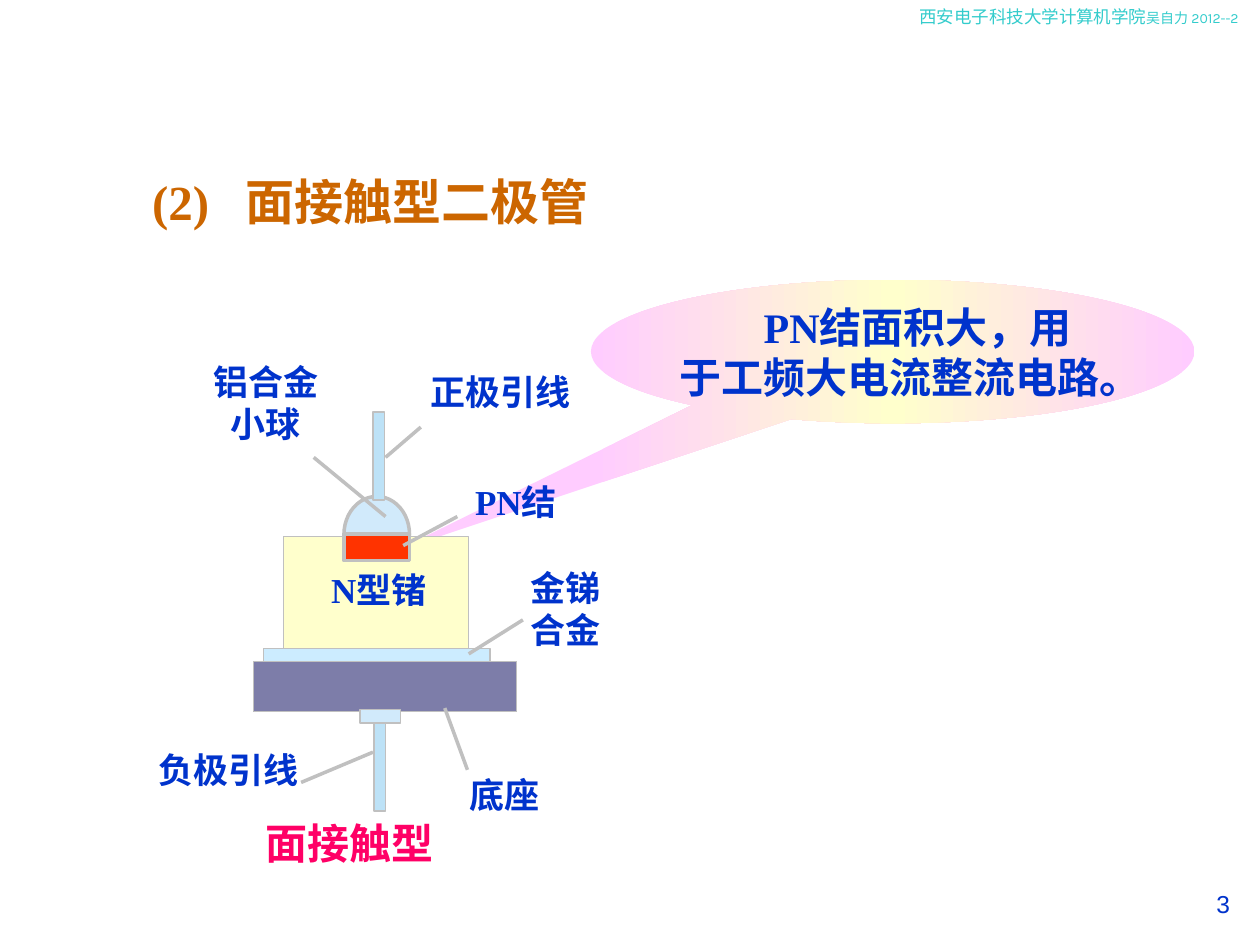
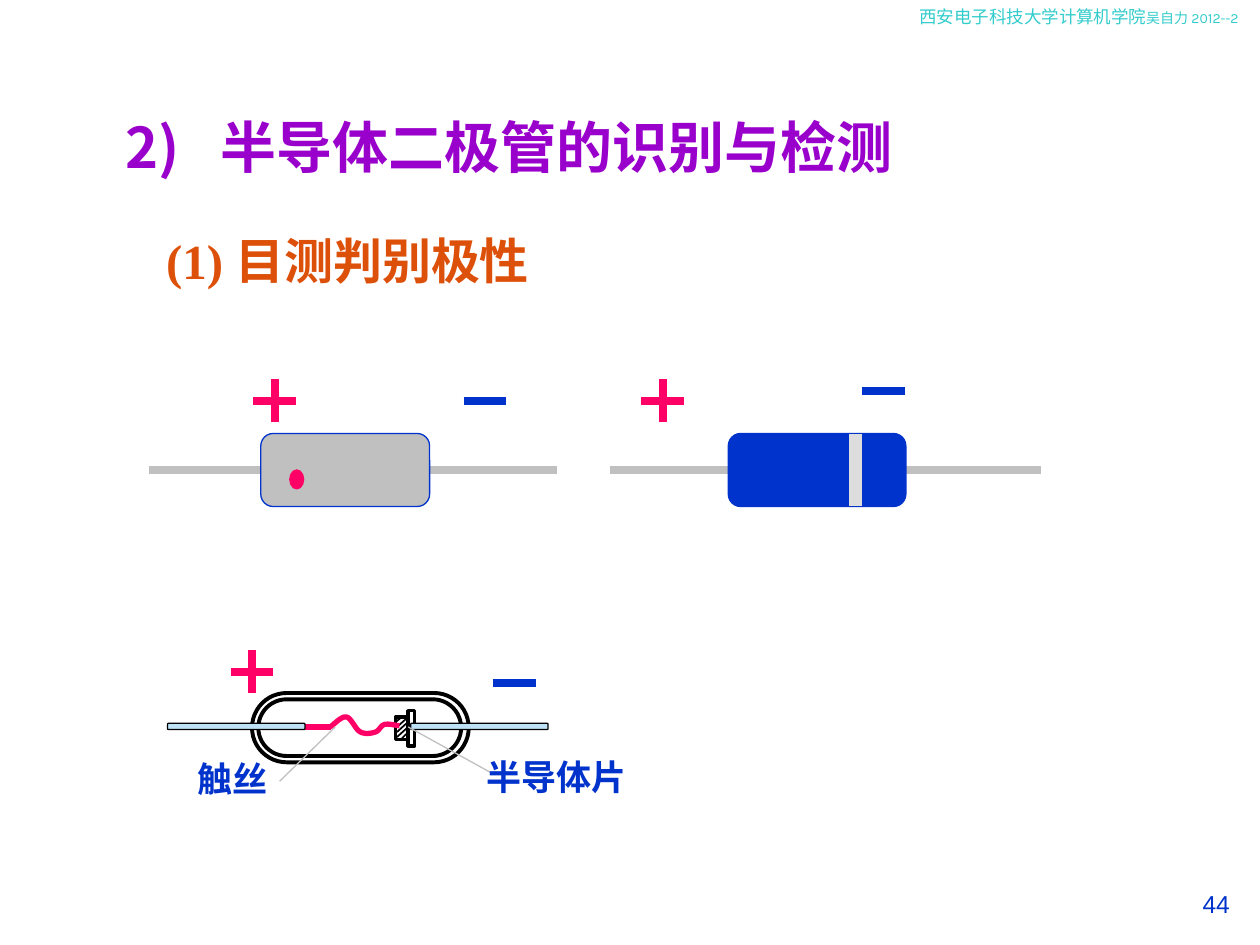
from copy import deepcopy

from lxml import etree
from pptx import Presentation
from pptx.dml.color import RGBColor
from pptx.enum.shapes import MSO_CONNECTOR, MSO_SHAPE
from pptx.enum.text import MSO_ANCHOR, PP_ALIGN
from pptx.oxml.ns import qn
from pptx.util import Inches, Pt

RECT, OVAL, ROUND = MSO_SHAPE.RECTANGLE, MSO_SHAPE.OVAL, MSO_SHAPE.ROUNDED_RECTANGLE
CALLOUT = MSO_SHAPE.OVAL_CALLOUT
STRAIGHT = MSO_CONNECTOR.STRAIGHT
LEFT, CENTER, RIGHT = PP_ALIGN.LEFT, PP_ALIGN.CENTER, PP_ALIGN.RIGHT
TOP, MIDDLE = MSO_ANCHOR.TOP, MSO_ANCHOR.MIDDLE

COLORS = {
    "header": "33CCCC", "blue": "0033CC", "pink": "FF0066", "purple": "9900CC",
    "brown": "CC6600", "orange": "DD5009", "gray": "C0C0C0", "black": "000000",
    "ball": "D1EAFB", "germanium": "FFFFCC", "junction": "FF3300",
    "alloy": "CCECFF", "base": "7D7DA9", "lead": "BDE2F7", "band": "DDDDDD",
    "callout_edge": "FFCCFF", "callout_middle": "FFFFCC",
}
SERIF, CHINESE = "Times New Roman", "Noto Sans CJK SC"

STYLES = {
    "header": {"size": 10, "name": "Karla", "color": "header", "bold": False},
    "author": {"size": 8, "name": "Karla", "color": "header", "bold": False},
    "number": {"size": 14, "name": "Arial", "color": "blue", "bold": False},
    "title": {"size": 32, "name": CHINESE, "color": "purple", "bold": True},
    "area_heading": {"size": 28, "name": SERIF, "color": "brown", "bold": True},
    "polarity_heading": {"size": 28, "name": SERIF, "color": "orange", "bold": True},
    "callout": {"size": 24, "name": SERIF, "color": "blue", "bold": True},
    "caption": {"size": 24, "name": SERIF, "color": "pink", "bold": True},
    "label": {"size": 20, "name": SERIF, "color": "blue", "bold": True},
}

HEADER = [("西安电子科技大学计算机学院", "header"), ("吴自力 2012--2", "author")]

# Area-contact diode: (shape, (left, top, width, height), fill, line, line width)
DIODE_PARTS = [
    (OVAL, (2.73, 3.94, 0.52, 0.6), "ball", "gray", 2),
    (RECT, (2.25, 4.26, 1.47, 0.93), "germanium", "gray", 0.75),
    (RECT, (2.73, 4.24, 0.52, 0.21), "junction", "gray", 2),
    (RECT, (2.09, 5.15, 1.8, 0.14), "alloy", "gray", 0.75),
    (RECT, (2.01, 5.25, 2.09, 0.4), "base", "gray", 0.75),
    (RECT, (2.96, 3.27, 0.09, 0.7), "lead", "gray", 0.75),
    (RECT, (2.97, 5.74, 0.09, 0.7), "lead", "gray", 1),
    (RECT, (2.86, 5.63, 0.32, 0.11), "ball", "gray", 1),
]
# (lines, place, alignment, anchor, wrap)
DIODE_LABELS = [
    (["负极引线"], (1.12, 5.86, 1.39, 0.5), CENTER, MIDDLE, False),
    (["N型锗"], (2.53, 4.46, 1.46, 0.44), LEFT, TOP, True),
    (["PN结"], (3.64, 3.76, 0.91, 0.44), CENTER, MIDDLE, False),
    (["正极引线"], (3.28, 2.89, 1.38, 0.44), CENTER, MIDDLE, False),
    (["铝合金", "小球"], (1.35, 2.81, 1.52, 0.77), CENTER, TOP, True),
    (["底座"], (3.63, 6.09, 1.54, 0.44), LEFT, TOP, True),
    (["金锑", "合金"], (4.11, 4.45, 2.23, 0.77), LEFT, TOP, True),
]
DIODE_POINTERS = [
    (3.2, 4.33, 3.63, 4.1), (3.06, 3.63, 3.34, 3.39), (2.39, 6.21, 2.96, 5.97),
    (2.49, 3.63, 3.06, 4.1), (3.53, 5.62, 3.71, 6.11), (3.72, 5.19, 4.15, 4.92),
]
CALLOUT_STOPS = [(0, "callout_edge"), (0.5, "callout_middle"), (1, "callout_edge")]

# Packaged diodes: axis ends, then parts as above
PACKAGES = [
    ((1.18, 4.42), [
        (ROUND, (2.07, 3.44, 1.34, 0.58), "gray", "blue", 0.75),
        (OVAL, (2.3, 3.73, 0.11, 0.15), "pink", "pink", 0.75)]),
    ((4.84, 8.26), [
        (ROUND, (5.78, 3.44, 1.41, 0.58), "blue", "blue", 0.75),
        (RECT, (6.73, 3.44, 0.12, 0.58), "band", "blue", 0.75)]),
]
PACKAGE_AXIS = 3.73

GLASS_PARTS = [
    (ROUND, (2.05, 5.55, 1.61, 0.45), None, "black", 2.25),
    (ROUND, (2, 5.5, 1.72, 0.55), None, "black", 2.25),
    (RECT, (3.24, 5.64, 0.05, 0.28), None, "black", 2),
    (RECT, (3.14, 5.69, 0.1, 0.18), None, "black", 2),
]
CHIP_HATCHING = [
    (3.14, 5.73, 3.19, 5.69), (3.14, 5.78, 3.24, 5.69), (3.15, 5.81, 3.25, 5.72),
    (3.15, 5.85, 3.25, 5.76), (3.19, 5.86, 3.24, 5.81),
]
WIRE_START = (2.62, 5.77)
WIRE_CURVES = [
    ((2.64, 5.76), (2.71, 5.68), (2.75, 5.69)),
    ((2.79, 5.7), (2.82, 5.79), (2.86, 5.81)),
    ((2.9, 5.83), (2.95, 5.82), (2.98, 5.81)),
    ((3.01, 5.8), (3.02, 5.76), (3.05, 5.75)),
    ((3.08, 5.74), (3.15, 5.76), (3.17, 5.76)),
]
GLASS_LEADS = [(1.33, 5.74, 1.09, 0.05), (3.26, 5.74, 1.09, 0.05)]
GLASS_LABELS = [
    (["触丝"], (1.33, 5.96, 1.03, 0.44), CENTER, MIDDLE, True),
    (["半导体片"], (3.76, 5.95, 1.32, 0.44), LEFT, TOP, True),
]
GLASS_POINTERS = [(2.66, 5.77, 2.22, 6.2), (3.24, 5.77, 3.91, 6.14)]

PLUS_CENTERS = [(2.18, 3.18), (5.26, 3.18), (2, 5.33)]
MINUS_CENTERS = [(3.85, 3.18), (7.01, 3.1), (4.08, 5.42)]
MARK_REACH = 0.17


def rgb(name):
    return RGBColor.from_string(COLORS[name])


def inches(values):
    return [Inches(value) for value in values]


def write_spans(para, spans):
    for text, style in spans:
        span = para.add_run()
        span.text = text
        for key, value in STYLES[style].items():
            if key == "color":
                span.font.color.rgb = rgb(value)
            else:
                setattr(span.font, key, Pt(value) if key == "size" else value)
        etree.SubElement(span.font._element, qn("a:ea"), typeface=CHINESE)


def write_text(frame, lines, align=LEFT, anchor=TOP, wrap=True, inset=(0.1, 0.05)):
    """Fill a text frame; each line is a list of (text, style) spans."""
    across, down = inches(inset)
    settings = {"word_wrap": wrap, "vertical_anchor": anchor,
                "margin_left": across, "margin_right": across,
                "margin_top": down, "margin_bottom": down}
    for key, value in settings.items():
        setattr(frame, key, value)
    for index, spans in enumerate(lines):
        para = frame.add_paragraph() if index else frame.paragraphs[0]
        para.alignment = align
        write_spans(para, spans)


def add_text(page, place, lines, **options):
    box = page.shapes.add_textbox(*inches(place))
    write_text(box.text_frame, lines, **options)
    return box


def add_heading(page, place, text, style, tab=None, **options):
    box = add_text(page, place, [], **options)
    para = box.text_frame.paragraphs[0]
    if tab:
        stops = etree.SubElement(para._p.get_or_add_pPr(), qn("a:tabLst"))
        etree.SubElement(stops, qn("a:tab"), pos=str(Inches(tab)), algn="l")
    write_spans(para, [(text, style)])


def add_labels(page, labels):
    for lines, place, align, anchor, wrap in labels:
        add_text(page, place, [[(line, "label")] for line in lines],
                 align=align, anchor=anchor, wrap=wrap)


def paint(shape, fill, line, width):
    shape.shadow.inherit = False
    if fill:
        shape.fill.solid()
        shape.fill.fore_color.rgb = rgb(fill)
    else:
        shape.fill.background()
    shape.line.color.rgb = rgb(line)
    shape.line.width = Pt(width)


def add_parts(page, parts, rounding=0.17):
    for kind, place, fill, line, width in parts:
        shape = page.shapes.add_shape(kind, *inches(place))
        if kind == ROUND:
            shape.adjustments[0] = rounding
        paint(shape, fill, line, width)


def add_lines(page, ends, color, width):
    for end in ends:
        line = page.shapes.add_connector(STRAIGHT, *inches(end))
        line.line.color.rgb = rgb(color)
        line.line.width = Pt(width)
        etree.SubElement(line._element.spPr, qn("a:effectLst"))


def add_callout(page):
    shape = page.shapes.add_shape(CALLOUT, *inches((4.69, 2.22, 4.79, 1.14)))
    shape.adjustments[0], shape.adjustments[1] = -0.825, 1.391
    shape.shadow.inherit = False
    shape.line.fill.background()
    shape.fill.gradient()
    shape.fill.gradient_angle = 0
    stop_list = shape._element.spPr.find(".//" + qn("a:gsLst"))
    stop_list.append(deepcopy(stop_list[0]))
    for stop, (position, color) in zip(shape.fill.gradient_stops, CALLOUT_STOPS):
        stop.position = position
        stop.color.rgb = rgb(color)
    write_text(shape.text_frame, [[("PN结面积大，用于工频大电流整流电路。", "callout")]],
               anchor=MIDDLE, inset=(0, 0))
    properties = shape.text_frame.paragraphs[0]._p.get_or_add_pPr()
    properties.set("indent", str(Inches(0.67)))


def curve_points(start, curves, steps=8):
    """Points along a chain of cubic Bezier curves."""
    points = []
    for first, second, end in curves:
        for step in range(1, steps + 1):
            t = step / steps
            weights = ((1 - t) ** 3, 3 * t * (1 - t) ** 2, 3 * t * t * (1 - t), t ** 3)
            corners = (start, first, second, end)
            points.append(tuple(Inches(sum(w * corner[axis] for w, corner in zip(weights, corners)))
                                for axis in (0, 1)))
        start = end
    return points


def add_contact_wire(page):
    add_lines(page, [(2.42, 5.77, 2.63, 5.77)], "pink", 3)
    builder = page.shapes.build_freeform(*inches(WIRE_START))
    builder.add_line_segments(curve_points(WIRE_START, WIRE_CURVES), close=False)
    paint(builder.convert_to_shape(), None, "pink", 3)


def add_polarity_marks(page):
    reach = MARK_REACH
    for x, y in PLUS_CENTERS:
        add_lines(page, [(x - reach, y, x + reach, y), (x, y + reach, x, y - reach)], "pink", 4.5)
    add_lines(page, [(x - reach, y, x + reach, y) for x, y in MINUS_CENTERS], "blue", 4.5)


def add_page(deck, number):
    page = deck.slides.add_slide(deck.slide_layouts[6])
    add_text(page, (7.2, 0, 2.8, 0.4), [HEADER])
    add_text(page, (7.36, 7.01, 2.5, 0.52), [[(number, "number")]], align=RIGHT)
    return page


def build_area_contact(deck):
    page = add_page(deck, "3")
    add_heading(page, (1.11, 1.31, 3.66, 0.57), "(2)\t面接触型二极管", "area_heading",
                tab=0.74, anchor=MIDDLE)
    add_callout(page)
    add_parts(page, DIODE_PARTS)
    add_labels(page, DIODE_LABELS)
    add_lines(page, DIODE_POINTERS, "gray", 2)
    add_text(page, (2.01, 6.44, 2.28, 0.5), [[("面接触型", "caption")]])


def build_polarity(deck):
    page = add_page(deck, "44")
    add_heading(page, (0.9, 0.84, 7.01, 0.64), "2)\t半导体二极管的识别与检测", "title", tab=0.75)
    add_heading(page, (1.22, 1.78, 4, 0.57), "(1) 目测判别极性", "polarity_heading")
    for (start, end), parts in PACKAGES:
        add_lines(page, [(start, PACKAGE_AXIS, end, PACKAGE_AXIS)], "gray", 4.5)
        add_parts(page, parts)
    add_parts(page, GLASS_PARTS, rounding=0.5)
    add_lines(page, CHIP_HATCHING, "black", 1)
    add_contact_wire(page)
    add_parts(page, [(ROUND, place, "lead", "black", 0.75) for place in GLASS_LEADS])
    add_lines(page, GLASS_POINTERS, "gray", 0.75)
    add_labels(page, GLASS_LABELS)
    add_polarity_marks(page)


def main():
    deck = Presentation()
    deck.slide_width, deck.slide_height = Inches(10), Inches(7.5)
    build_area_contact(deck)
    build_polarity(deck)
    deck.save("out.pptx")


if __name__ == "__main__":
    main()
